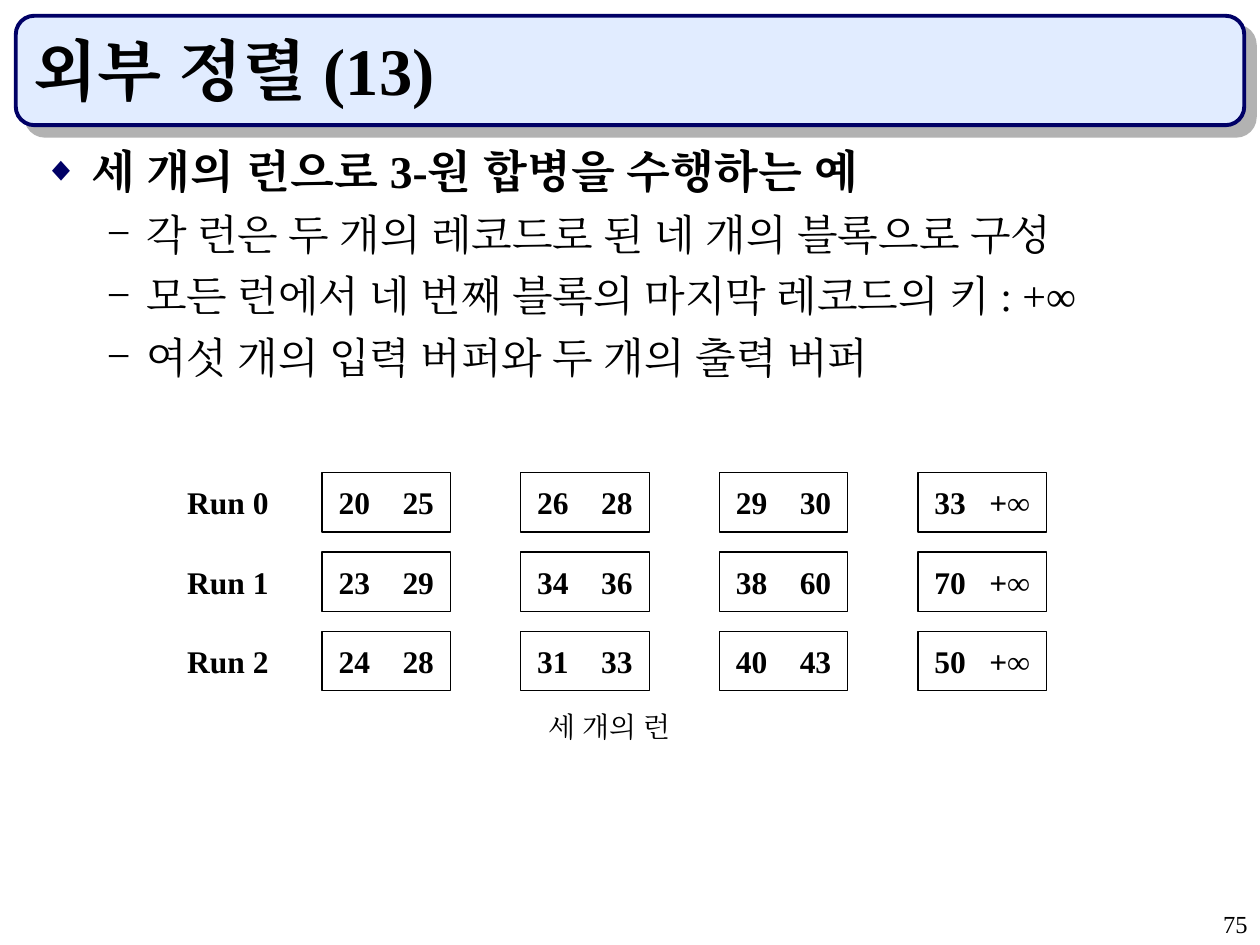
from lxml import etree
from pptx import Presentation
from pptx.dml.color import RGBColor
from pptx.enum import shapes, text
from pptx.oxml import ns
from pptx.util import Pt

HUES = {"ink": "000000", "navy": "000066", "pale": "E1ECFF", "shade": "B2B2B2"}
FACE = "Times New Roman"
TITLE = "외부 정렬 (13)"
HEAD = "세 개의 런으로 3-원 합병을 수행하는 예"
POINTS = [
    "각 런은 두 개의 레코드로 된 네 개의 블록으로 구성",
    "모든 런에서 네 번째 블록의 마지막 레코드의 키 : +∞",
    "여섯 개의 입력 버퍼와 두 개의 출력 버퍼",
]
RUNS = [
    [(20, 25), (26, 28), (29, 30), (33, "+∞")],
    [(23, 29), (34, 36), (38, 60), (70, "+∞")],
    [(24, 28), (31, 33), (40, 43), (50, "+∞")],
]


def hue(name):
    """Return the named colour."""
    return RGBColor.from_string(HUES[name])


def add(parent, tag, **attrs):
    """Append a drawing element and return it."""
    return etree.SubElement(parent, ns.qn("a:" + tag), attrs)


def style(para, size, bold=False, align=text.PP_ALIGN.LEFT):
    """Set the font and alignment of a paragraph."""
    para.alignment = align
    font = para.font
    font.size, font.bold, font.name = Pt(size), bold, FACE
    font.color.rgb = hue("ink")
    add(para._p.pPr.find(ns.qn("a:defRPr")), "ea", typeface=FACE)


def label(slide, box, words, size, bold=False, align=text.PP_ALIGN.LEFT,
          anchor=text.MSO_ANCHOR.TOP):
    """Place a line of text in a box."""
    frame = slide.shapes.add_textbox(*map(Pt, box)).text_frame
    frame.word_wrap = True
    frame.vertical_anchor = anchor
    para = frame.paragraphs[0]
    para.text = words
    style(para, size, bold, align)


def banner(slide, box):
    """Draw the title bar with its shadow and title."""
    left, top, wide, high = box
    bar = slide.shapes.add_shape(
        shapes.MSO_SHAPE.ROUNDED_RECTANGLE, *map(Pt, box))
    bar.adjustments[0] = 0.17
    bar.fill.solid()
    bar.fill.fore_color.rgb = hue("pale")
    bar.line.color.rgb = hue("navy")
    bar.line.width = Pt(2.25)
    bar.shadow.inherit = False
    effects = bar._element.spPr.find(ns.qn("a:effectLst"))
    shadow = add(effects, "outerShdw", dist=str(Pt(8.5)), dir="2700000",
                 algn="ctr", rotWithShape="0")
    add(shadow, "srgbClr", val=HUES["shade"])
    label(slide, (left + 3, top + 9, wide, 48), TITLE, 38, True,
          anchor=text.MSO_ANCHOR.BOTTOM)


def bullet(para, words, mark, tint, scale, left, hang):
    """Fill a paragraph with a hanging bullet and its words."""
    para.text = words
    props = para._p.get_or_add_pPr()
    props.set("marL", str(Pt(left)))
    props.set("indent", str(Pt(-hang)))
    add(add(props, "buClr"), "srgbClr", val=HUES[tint])
    add(props, "buSzPct", val=str(scale * 1000))
    add(props, "buFont", typeface=FACE)
    add(props, "buChar", char=mark)


def body(slide, box):
    """Write the heading and its points."""
    frame = slide.shapes.add_textbox(*map(Pt, box)).text_frame
    frame.word_wrap = True
    para = frame.paragraphs[0]
    bullet(para, HEAD, "◆", "navy", 75, 27, 27)
    style(para, 26, True)
    para.line_spacing = Pt(31.5)
    for words in POINTS:
        para = frame.add_paragraph()
        para.level = 1
        bullet(para, words, "−", "ink", 100, 58.5, 22.5)
        style(para, 24)
        para.space_before = Pt(6)
        para.line_spacing = Pt(29)


def block(slide, box, pair):
    """Draw a block holding two record keys."""
    cell = slide.shapes.add_shape(shapes.MSO_SHAPE.RECTANGLE, *map(Pt, box))
    cell.shadow.inherit = False
    cell.fill.background()
    cell.line.color.rgb = hue("ink")
    cell.line.width = Pt(0.75)
    frame = cell.text_frame
    frame.margin_left, frame.margin_right = Pt(9.5), Pt(4)
    frame.vertical_anchor = text.MSO_ANCHOR.MIDDLE
    para = frame.paragraphs[0]
    para.add_run().text = "{}\t{}".format(*pair)
    tabs = add(para._p.get_or_add_pPr(), "tabLst")
    add(tabs, "tab", pos=str(Pt(54.5)), algn="r")
    style(para, 18, True)


def runs(slide, box):
    """Lay out the labelled runs as a grid with a caption."""
    left, top, wide, high = box
    cell, tall = 73.5, 34
    start = left + 90.5
    across = (left + wide - cell - start) / (len(RUNS[0]) - 1)
    down = (high - tall) / (len(RUNS) - 1)
    for row, pairs in enumerate(RUNS):
        y = top + row * down
        label(slide, (left, y, cell, tall), f"Run {row}", 18, True,
              text.PP_ALIGN.CENTER, text.MSO_ANCHOR.MIDDLE)
        for col, pair in enumerate(pairs):
            block(slide, (start + col * across, y, cell, tall), pair)
    label(slide, (left + 213, top + high + 7, 136, 26.5), "세 개의 런", 16)


def main():
    """Build and save the slide."""
    deck = Presentation()
    deck.slide_width, deck.slide_height = Pt(720), Pt(540)
    slide = deck.slides.add_slide(deck.slide_layouts[6])
    banner(slide, (9, 9, 702, 62.5))
    label(slide, (570, 516, 150, 24), "75", 14, align=text.PP_ALIGN.RIGHT)
    body(slide, (18, 78, 678, 192))
    runs(slide, (93.5, 270, 504.5, 124.75))
    deck.save("out.pptx")


if __name__ == "__main__":
    main()
